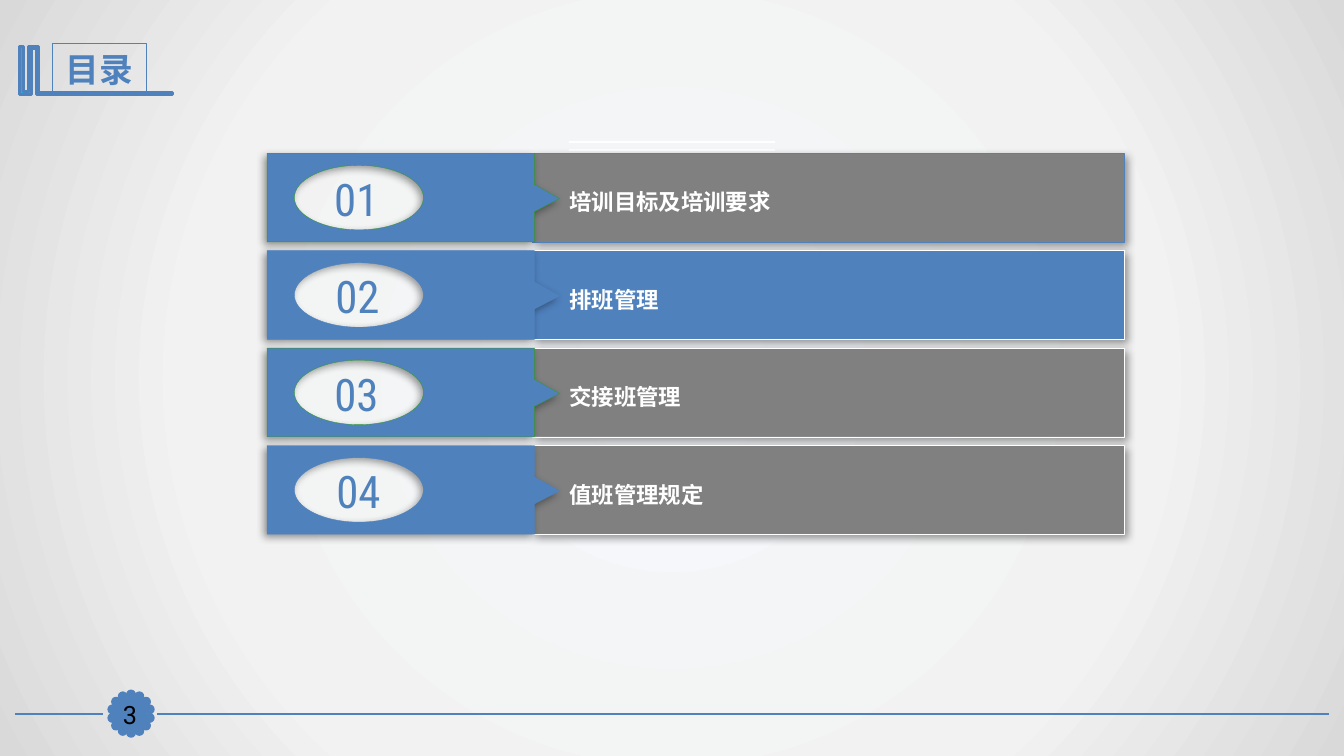
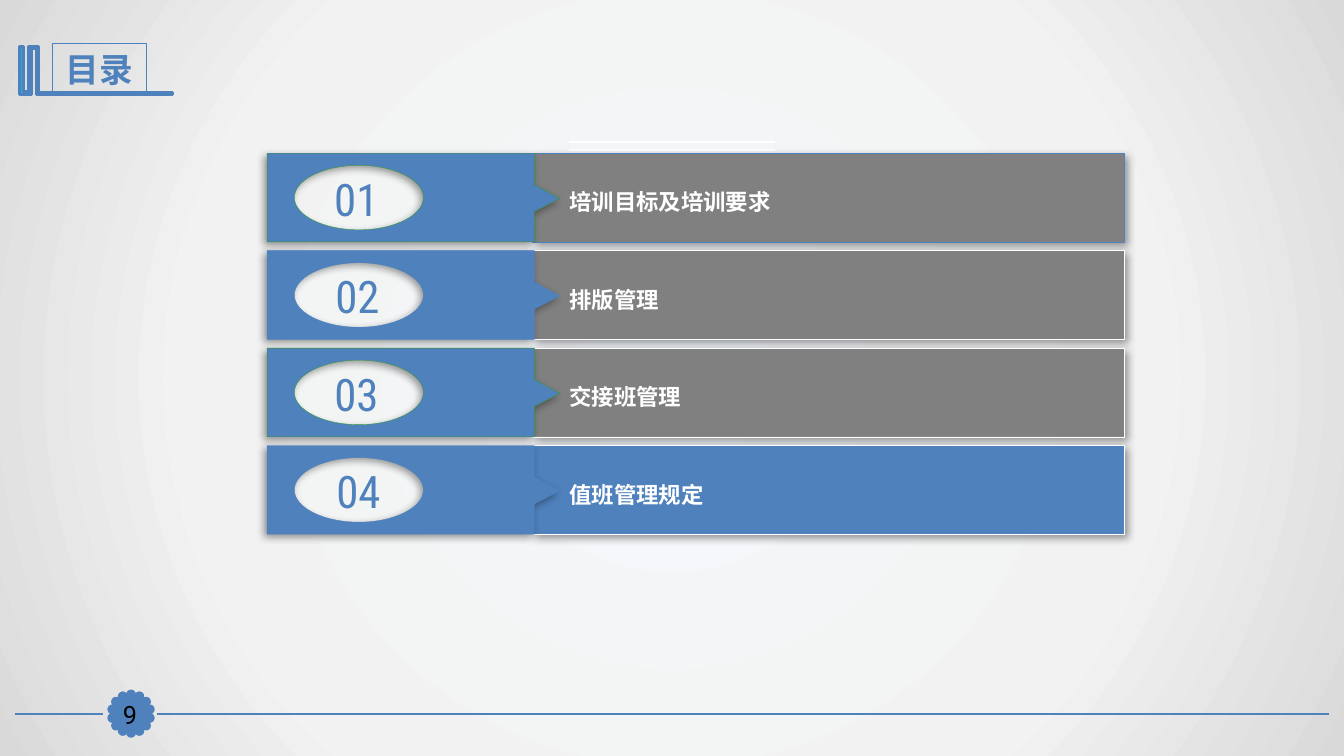
from math import cos, pi, sin

from lxml import etree
from pptx import Presentation
from pptx.dml.color import RGBColor
from pptx.enum.shapes import MSO_CONNECTOR, MSO_SHAPE
from pptx.enum.text import MSO_ANCHOR, PP_ALIGN
from pptx.oxml import parse_xml
from pptx.oxml.ns import nsdecls, qn
from pptx.util import Inches, Pt

RECT, OVAL = MSO_SHAPE.RECTANGLE, MSO_SHAPE.OVAL
STRAIGHT = MSO_CONNECTOR.STRAIGHT
LEFT, CENTER = PP_ALIGN.LEFT, PP_ALIGN.CENTER
TOP, MIDDLE = MSO_ANCHOR.TOP, MSO_ANCHOR.MIDDLE

BLUE = RGBColor(0x4F, 0x81, 0xBD)
CYAN = RGBColor(0x28, 0xA9, 0xD6)
GREEN = RGBColor(0x33, 0x99, 0x33)
GRAY = RGBColor(0x80, 0x80, 0x80)
WHITE = RGBColor(0xFF, 0xFF, 0xFF)
BLACK = RGBColor(0x00, 0x00, 0x00)
BODY_FONT, TITLE_FONT = "Roboto", "Roboto Condensed"

FIRST_TOP, LAST_TOP, ROW_H = 1.52, 4.42, 0.88
BADGE_X, BADGE_Y, BADGE_R, DOT = 1.3, 7.08, 0.19, 0.07
DOTS = 14

ICON = [(0.37, 0.46), (0.38, 0.46), (0.38, 0.92), (1.71, 0.92), (1.71, 0.94),
        (0.37, 0.94), (0.36, 0.94), (0.36, 0.48), (0.31, 0.48), (0.31, 0.94),
        (0.19, 0.94), (0.19, 0.46), (0.23, 0.46), (0.23, 0.91), (0.28, 0.91),
        (0.28, 0.46)]
# Row tag with a pointer, relative to the top of its row
TAG_X = 2.65
TAG = [(TAG_X, 0), (5.3, 0), (5.3, 0.31), (5.55, 0.45), (5.3, 0.58),
       (5.3, ROW_H), (TAG_X, ROW_H)]
# Oval hole: centre and radii inside the tag, and its four unit curves
HOLE_X, HOLE_Y, HOLE_RX, HOLE_RY = 0.91, 0.44, 0.64, 0.32
K = 0.55
HOLE_CURVES = [[(-K, -1), (-1, -K), (-1, 0)], [(-1, K), (-K, 1), (0, 1)],
               [(K, 1), (1, K), (1, 0)], [(1, -K), (K, -1), (0, -1)]]
# Left and width of each row number
INDEX_BOXES = [(3.07, 0.93), (3.04, 1.01), (3.03, 1.01), (3.05, 1.01)]
# x1, x2, y, colour, width
LINES = [(13.18, 1.56, 7.08, BLUE, 1.25), (1.02, 0.15, 7.08, BLUE, 1.25),
         (5.64, 7.69, 1.41, WHITE, 1.5), (5.64, 7.69, 1.49, WHITE, 1.5)]

# Page number, highlighted row, row labels
AGENDAS = [
    ("3", 1, ["培训目标及培训要求", "排班管理", "交接班管理", "值班管理规定"]),
    ("9", 3, ["培训目标及培训要求", "排版管理", "交接班管理", "值班管理规定"]),
]


def style(sp, fill, line, width, shadow_angle=None):
    if fill is None:
        sp.fill.background()
    else:
        sp.fill.solid()
        sp.fill.fore_color.rgb = fill
    sp.line.color.rgb = line
    sp.line.width = Pt(width)
    sp.shadow.inherit = False
    if shadow_angle is not None:
        sp.element.spPr.find(qn("a:effectLst")).append(parse_xml(
            f'<a:outerShdw {nsdecls("a")} blurRad="{Pt(6)}" dist="{Pt(3)}" '
            f'dir="{shadow_angle * 60000}" algn="ctr" rotWithShape="0">'
            '<a:srgbClr val="000000"><a:alpha val="40000"/></a:srgbClr>'
            '</a:outerShdw>'))


def put_text(sp, text, *, size, color, font=BODY_FONT, bold=False,
             align=CENTER, anchor=MIDDLE, inset=None):
    tf = sp.text_frame
    tf.word_wrap = True
    tf.vertical_anchor = anchor
    if inset is not None:
        tf.margin_left = tf.margin_right = Inches(inset)
        tf.margin_top = tf.margin_bottom = Inches(inset)
    p = tf.paragraphs[0]
    p.alignment = align
    r = p.add_run()
    r.text = text
    r.font.name = font
    r.font.size = Pt(size)
    r.font.bold = bold
    r.font.color.rgb = color


prs = Presentation()
prs.slide_width, prs.slide_height = Inches(13.33), Inches(7.5)

# Shared background: radial gradient on the master
master = prs.slide_master
master.background.fill.gradient()
grad = next(master.element.iter(qn("a:gradFill")))
stops = "".join(f'<a:gs pos="{pos * 1000}"><a:srgbClr val="{color}"/></a:gs>'
                for pos, color in [(0, "F6F9FC"), (63, "F2F2F2"), (100, "D9D9D9")])
grad.getparent().replace(grad, parse_xml(
    f'<a:gradFill {nsdecls("a")} rotWithShape="1"><a:gsLst>{stops}</a:gsLst>'
    '<a:path path="circle"><a:fillToRect l="50000" t="50000" r="50000" b="50000"/>'
    '</a:path></a:gradFill>'))

for page, active, labels in AGENDAS:
    s = prs.slides.add_slide(prs.slide_layouts[6])

    # Footer rules and the white rules above the list
    for x1, x2, y, color, width in LINES:
        line = s.shapes.add_connector(STRAIGHT, Inches(x1), Inches(y),
                                      Inches(x2), Inches(y))
        line.line.color.rgb = color
        line.line.width = Pt(width)
        etree.SubElement(line.element.spPr, qn("a:effectLst"))

    # Scalloped page badge
    badge = s.shapes.add_group_shape().shapes
    for i in range(DOTS):
        angle = 2 * pi * i / DOTS
        x = BADGE_X + BADGE_R * sin(angle) - DOT / 2
        y = BADGE_Y - BADGE_R * cos(angle) - DOT / 2
        dot = badge.add_shape(OVAL, Inches(x), Inches(y), Inches(DOT), Inches(DOT))
        style(dot, BLUE, BLUE, 2)
    number = s.shapes.add_shape(RECT, Inches(1.13), Inches(6.93),
                                Inches(0.32), Inches(0.31))
    style(number, BLUE, BLUE, 0.75)
    put_text(number, page, size=18, color=BLACK, inset=0)

    # Title with its icon
    icon = [(Inches(x), Inches(y)) for x, y in ICON]
    fb = s.shapes.build_freeform(*icon[0])
    fb.add_line_segments(icon[1:], close=True)
    style(fb.convert_to_shape(), CYAN, BLUE, 2)
    title = s.shapes.add_shape(RECT, Inches(0.52), Inches(0.43),
                               Inches(0.93), Inches(0.51))
    style(title, None, BLUE, 0.75)
    put_text(title, "目录", size=24, color=BLUE, font=TITLE_FONT, bold=True)

    # Agenda rows
    pitch = (LAST_TOP - FIRST_TOP) / (len(labels) - 1)
    for i, (label, (index_x, index_w)) in enumerate(zip(labels, INDEX_BOXES)):
        top = FIRST_TOP + i * pitch
        row = s.shapes.add_group_shape().shapes

        bar = row.add_shape(RECT, Inches(5.28), Inches(top),
                            Inches(5.87), Inches(ROW_H))
        style(bar, BLUE if i == active else GRAY, WHITE if i else BLUE, 0.25, 45)

        outline = [(Inches(x), Inches(top + y)) for x, y in TAG]
        fb = row.build_freeform(*outline[0])
        fb.add_line_segments(outline[1:], close=True)
        tag = fb.convert_to_shape()
        style(tag, BLUE, BLUE if i % 2 else GREEN, 0.25, 135)

        # Cut the oval hole as a first contour of the tag
        contour = [etree.Element(qn("a:moveTo"))]
        contour += [etree.Element(qn("a:cubicBezTo")) for _ in HOLE_CURVES]
        for step, points in zip(contour, [[(0, -1)]] + HOLE_CURVES):
            for x, y in points:
                etree.SubElement(step, qn("a:pt"),
                                 x=str(Inches(HOLE_X + x * HOLE_RX)),
                                 y=str(Inches(HOLE_Y + y * HOLE_RY)))
        contour.append(etree.Element(qn("a:close")))
        next(tag.element.iter(qn("a:path")))[0:0] = contour

        index = row.add_textbox(Inches(index_x), Inches(top + 0.13),
                                Inches(index_w), Inches(0.64))
        put_text(index, f"{i + 1:02}", size=32, color=BLUE, font=TITLE_FONT)
        caption = row.add_textbox(Inches(5.55), Inches(top + 0.3),
                                  Inches(5.61), Inches(0.37))
        put_text(caption, label, size=16, color=WHITE, bold=True,
                 align=LEFT, anchor=TOP)

prs.save("out.pptx")
